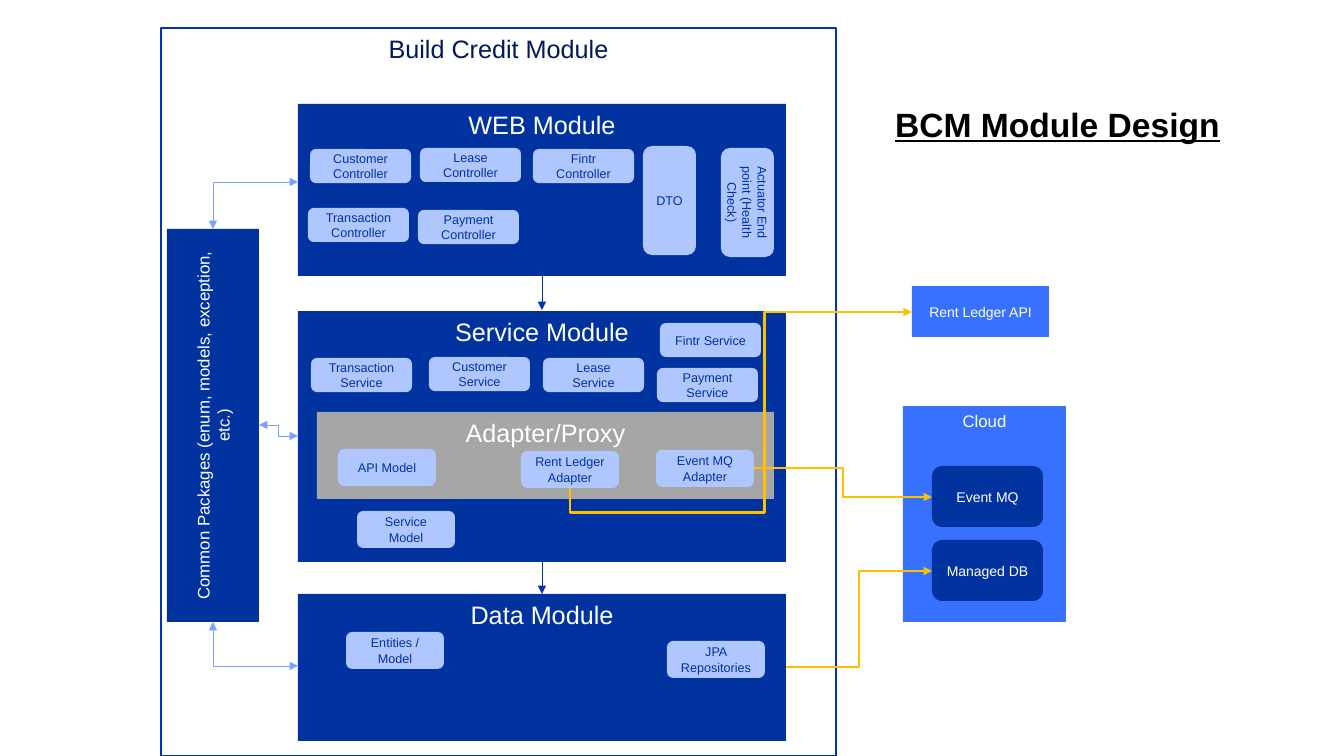
from pptx import Presentation
from pptx.dml.color import RGBColor
from pptx.enum.shapes import MSO_CONNECTOR, MSO_SHAPE
from pptx.enum.text import MSO_ANCHOR, MSO_AUTO_SIZE, PP_ALIGN
from pptx.oxml.ns import qn
from pptx.util import Emu, Pt
from lxml import etree

RECT, ROUNDED = MSO_SHAPE.RECTANGLE, MSO_SHAPE.ROUNDED_RECTANGLE
STRAIGHT, ELBOW = MSO_CONNECTOR.STRAIGHT, MSO_CONNECTOR.ELBOW
TOP, MIDDLE = MSO_ANCHOR.TOP, MSO_ANCHOR.MIDDLE
CENTER = PP_ALIGN.CENTER

NAVY = RGBColor(0x00, 0x33, 0xA0)
FRAME_BLUE = RGBColor(0x00, 0x33, 0xB4)
DARK_NAVY = RGBColor(0x00, 0x19, 0x5A)
BRIGHT_BLUE = RGBColor(0x38, 0x71, 0xFF)
SOFT_BLUE = RGBColor(0x7B, 0xA0, 0xFF)
PALE_BLUE = RGBColor(0xAF, 0xC6, 0xFF)
GRAY = RGBColor(0xA6, 0xA6, 0xA6)
AMBER = RGBColor(0xFF, 0xC0, 0x00)
WHITE = RGBColor(0xFF, 0xFF, 0xFF)
BLACK = RGBColor(0x00, 0x00, 0x00)

FONT = "Arial"
EMU_PER_PIXEL = 914400 / 100.8
WIDE_TILE = (101, 34)
TALL_TILE = (98, 37)
UPRIGHT_TILE = (53, 109)

# Text, left, top, size of every pale tile
TILES = [
    ("Customer Controller", 310, 149, WIDE_TILE),
    ("Lease Controller", 420, 148, WIDE_TILE),
    ("Fintr Controller", 533, 149, WIDE_TILE),
    ("Transaction Controller", 308, 208, WIDE_TILE),
    ("Payment Controller", 418, 210, WIDE_TILE),
    ("DTO", 643, 146, UPRIGHT_TILE),
    ("Transaction Service", 311, 358, WIDE_TILE),
    ("Customer Service", 429, 357, WIDE_TILE),
    ("Lease Service", 543, 358, WIDE_TILE),
    ("Fintr Service", 660, 323, WIDE_TILE),
    ("Payment Service", 657, 368, WIDE_TILE),
    ("API Model", 338, 449, TALL_TILE),
    ("Rent Ledger Adapter", 521, 451, TALL_TILE),
    ("Event MQ Adapter", 656, 450, TALL_TILE),
    ("Service Model", 357, 511, TALL_TILE),
    ("Entities / Model", 346, 632, TALL_TILE),
    ("JPA Repositories", 667, 641, TALL_TILE),
]


def px(value):
    return Emu(round(value * EMU_PER_PIXEL))


def style_text(shape, text, size, color):
    frame = shape.text_frame
    frame.text = text
    font = frame.paragraphs[0].runs[0].font
    font.name, font.size, font.color.rgb = FONT, Pt(size), color
    return font


def add_box(page, text, area, fill, size, color=WHITE, kind=RECT,
            anchor=MIDDLE, turn=None):
    box = page.shapes.add_shape(kind, *map(px, area))
    box.shadow.inherit = False
    box.line.fill.background()
    if fill is None:
        box.fill.background()
    else:
        box.fill.solid()
        box.fill.fore_color.rgb = fill
    style_text(box, text, size, color)
    frame = box.text_frame
    frame.word_wrap = True
    frame.vertical_anchor = anchor
    frame.paragraphs[0].alignment = CENTER
    if turn:
        box.element.txBody.bodyPr.set("vert", turn)
    return box


def add_module(page, text, area, fill=NAVY, size=18):
    add_box(page, text, area, fill, size, anchor=TOP)


def add_tile(page, text, left, top, tile_size, turn=None):
    add_box(page, text, (left, top, *tile_size), PALE_BLUE, 9, NAVY,
            kind=ROUNDED, turn=turn)


def add_arrow(page, start, end, color, width, kind=ELBOW, ends=("tailEnd",),
              preset=None, bends=()):
    """Connect two points; bends are fractions of the connector's extent."""
    arrow = page.shapes.add_connector(kind, *map(px, start + end))
    arrow.line.color.rgb = color
    arrow.line.width = Pt(width)
    properties = arrow.element.spPr
    outline = properties.find(qn("a:ln"))
    for end_name in ends:
        etree.SubElement(outline, qn("a:" + end_name), type="triangle")
    etree.SubElement(properties, qn("a:effectLst"))
    if preset:
        geometry = properties.find(qn("a:prstGeom"))
        geometry.set("prst", preset)
        for number, bend in enumerate(bends, 1):
            etree.SubElement(geometry.find(qn("a:avLst")), qn("a:gd"),
                             name=f"adj{number}",
                             fmla=f"val {round(bend * 100000)}")


def add_title(page, text):
    title = page.shapes.add_textbox(*map(px, (895, 104, 328, 40)))
    frame = title.text_frame
    frame.margin_left = frame.margin_right = 0
    frame.margin_top = frame.margin_bottom = 0
    frame.word_wrap = False
    frame.auto_size = MSO_AUTO_SIZE.SHAPE_TO_FIT_TEXT
    font = style_text(title, text, 24, BLACK)
    font.bold = font.underline = True


def add_arrows(page):
    both = ("headEnd", "tailEnd")

    # Flow between the modules
    for top, bottom in ((275, 310), (562, 594)):
        add_arrow(page, (542, top), (542, bottom), FRAME_BLUE, 0.5, STRAIGHT)

    # Modules and common packages
    for start, end in (((298, 182), (213, 229)), ((298, 666), (213, 622))):
        add_arrow(page, start, end, SOFT_BLUE, 0.5, ends=both,
                  preset="bentConnector2")
    add_arrow(page, (298, 436), (259, 425), SOFT_BLUE, 0.5, ends=both)

    # Links to outside systems
    add_arrow(page, (912, 312), (570, 488), AMBER, 2, ends=("headEnd",),
              preset="bentConnector4", bends=(0.43, 1.14))
    add_arrow(page, (754, 468), (932, 497), AMBER, 2)
    add_arrow(page, (786, 667), (932, 571), AMBER, 2)


def main():
    deck = Presentation()
    deck.slide_width, deck.slide_height = px(1344), px(756)
    page = deck.slides.add_slide(deck.slide_layouts[6])

    # Frame and modules
    frame = add_box(page, "Build Credit Module", (161, 28, 675, 728), None,
                    18, DARK_NAVY, anchor=TOP)
    frame.line.color.rgb = FRAME_BLUE
    frame.line.width = Pt(2)
    add_module(page, "WEB Module", (298, 104, 488, 172))
    add_module(page, "Service Module", (298, 311, 488, 251))
    add_module(page, "Adapter/Proxy", (317, 412, 457, 87), GRAY)
    add_module(page, "Data Module", (298, 594, 488, 147))
    add_box(page, "Common Packages (enum, models, exception, etc.)",
            (167, 229, 92, 393), NAVY, 12, turn="vert270")

    # Tiles inside the modules
    for tile in TILES:
        add_tile(page, *tile)
    add_tile(page, "Actuator End point (Health Check)", 721, 148,
             UPRIGHT_TILE, turn="vert")

    # Outside systems
    add_box(page, "Rent Ledger API", (912, 286, 137, 51), BRIGHT_BLUE, 10)
    add_module(page, "Cloud", (903, 406, 163, 216), BRIGHT_BLUE, 12)
    for text, top in (("Event MQ", 466), ("Managed DB", 540)):
        add_box(page, text, (932, top, 111, 61), NAVY, 10, kind=ROUNDED)

    add_arrows(page)
    add_title(page, "BCM Module Design")
    deck.save("out.pptx")


main()
